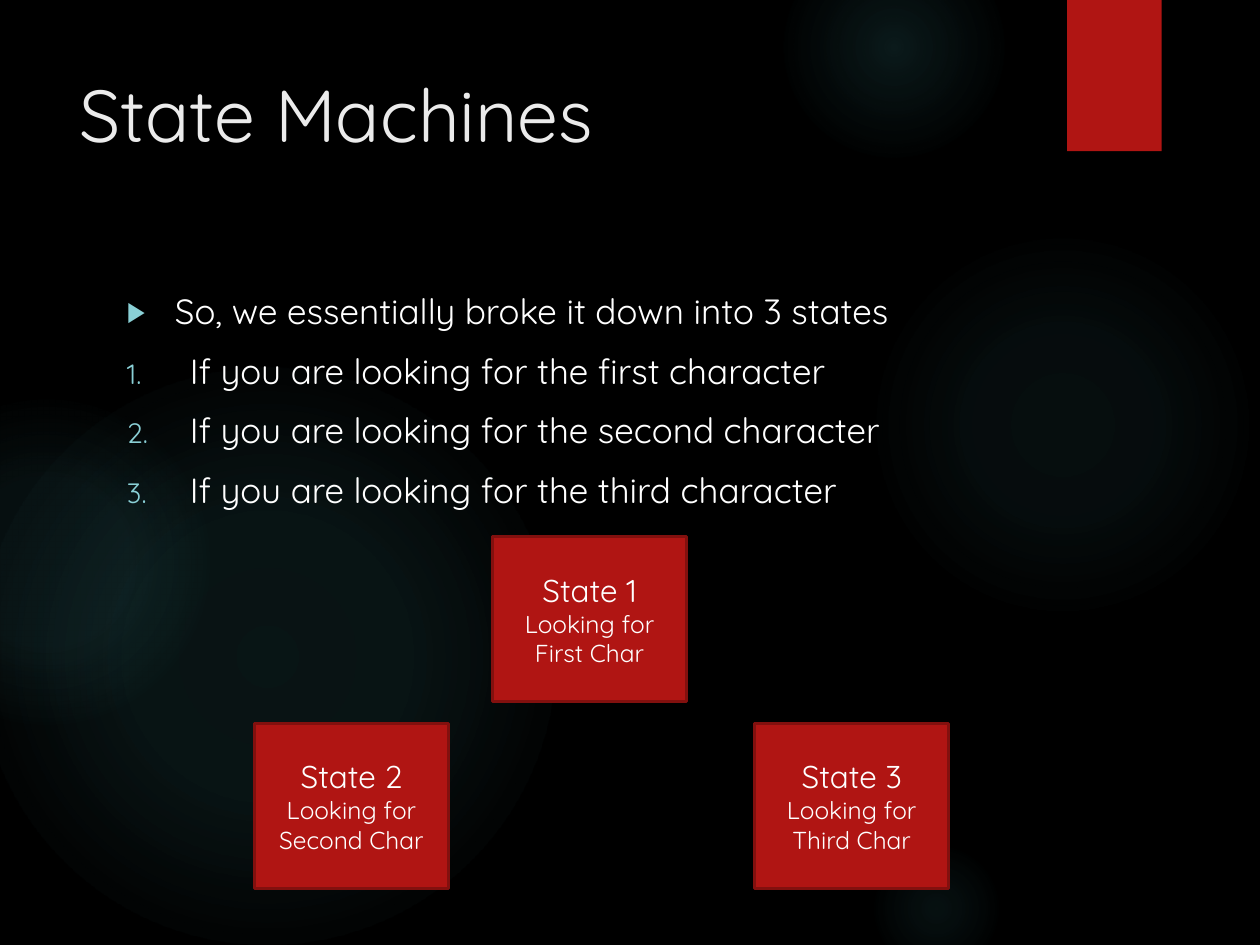
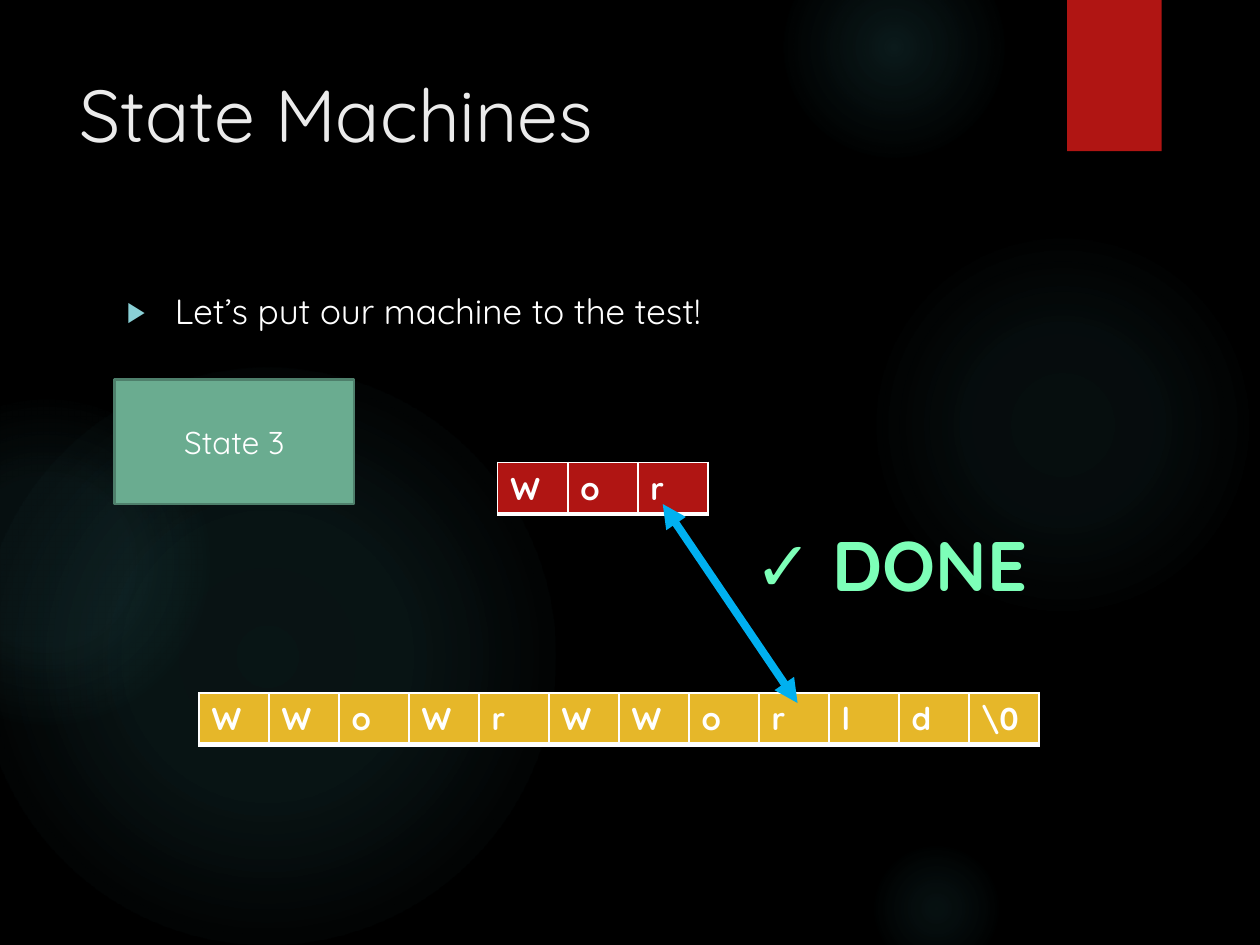
from dataclasses import dataclass

from lxml import etree
from pptx import Presentation
from pptx.dml.color import RGBColor
from pptx.enum.shapes import MSO_CONNECTOR, MSO_SHAPE
from pptx.enum.text import MSO_ANCHOR, MSO_AUTO_SIZE, PP_ALIGN
from pptx.oxml.ns import qn
from pptx.util import Inches, Pt

RECTANGLE, OVAL = MSO_SHAPE.RECTANGLE, MSO_SHAPE.OVAL
STRAIGHT = MSO_CONNECTOR.STRAIGHT
MIDDLE, TOP = MSO_ANCHOR.MIDDLE, MSO_ANCHOR.TOP
CENTER, LEFT = PP_ALIGN.CENTER, PP_ALIGN.LEFT
GROW = MSO_AUTO_SIZE.SHAPE_TO_FIT_TEXT

# The slide is a grid of square cells
COLUMNS, ROWS = 20, 15
CELL = Inches(0.5)


@dataclass(frozen=True)
class Theme:
    font: str = "Quicksand"
    background: str = "000000"
    glow: str = "50B9C1"
    red: str = "B01513"
    red_edge: str = "82100E"
    green: str = "6AAC90"
    green_edge: str = "4E7F6B"
    yellow: str = "E6B729"
    arrow: str = "00B0F0"
    done: str = "7DFFB8"
    title: str = "EBEBEB"
    text: str = "FFFFFF"
    bullet: str = "8AD0D6"
    title_size: int = 42
    done_size: int = 40
    body_size: int = 20
    label_size: int = 18
    detail_size: int = 14
    paragraph_gap: int = 10
    edge_width: float = 1.5
    arrow_width: float = 4.5


THEME = Theme()


@dataclass(frozen=True)
class Box:
    """A region in columns and rows of the grid."""
    left: float
    top: float
    width: float
    height: float

    def inner(self, left, top, width, height):
        return Box(self.left + left, self.top + top, width, height)

    def lengths(self):
        return [round(value * CELL)
                for value in (self.left, self.top, self.width, self.height)]


SLIDE = Box(0, 0, COLUMNS, ROWS)
TITLE = SLIDE.inner(1.06, 1, 15.44, 3.06)
BODY = SLIDE.inner(1.82, 4.5, 14.68, 9.18)
BANNER = SLIDE.inner(16.94, 0, 1.5, 2.4)

# Left, top, diameter; then (position, opacity) stops in percent
GLOWS = [
    (13.78, 3.66, 6.16, [(0, 7), (36, 6), (69, 0)]),
    (12.44, -1, 3.5, [(0, 14), (36, 7), (73, 0)]),
    (13.78, 13.34, 2.16, [(0, 9), (36, 5), (66, 0)]),
    (-0.34, 5.84, 9.16, [(0, 11), (36, 10), (75, 0)]),
    (-1.84, 6.34, 5.16, [(0, 8), (36, 8), (72, 0)]),
]


# Basic parts
def rgb(color):
    return RGBColor.from_string(color)


def add_element(parent, tag, **attributes):
    element = etree.SubElement(parent, qn(tag))
    for name, value in attributes.items():
        element.set(name, str(value))
    return element


def add_color_fill(parent, color):
    add_element(add_element(parent, "a:solidFill"), "a:srgbClr", val=color)


def format_paragraph(paragraph, size, color, bold=False, alignment=LEFT):
    paragraph.alignment = alignment
    for run in paragraph.runs:
        run.font.name = THEME.font
        run.font.size = Pt(size)
        run.font.bold = bold
        run.font.color.rgb = rgb(color)


def add_shape(slide, kind, box, fill=None, edge=None):
    shape = slide.shapes.add_shape(kind, *box.lengths())
    shape.shadow.inherit = False
    if fill:
        shape.fill.solid()
        shape.fill.fore_color.rgb = rgb(fill)
    if edge:
        shape.line.color.rgb = rgb(edge)
        shape.line.width = Pt(THEME.edge_width)
    else:
        shape.line.fill.background()
    return shape


def add_text(slide, box, text, size, color, bold=False):
    frame = slide.shapes.add_textbox(*box.lengths()).text_frame
    frame.word_wrap = True
    frame.vertical_anchor = TOP
    frame.text = text
    for paragraph in frame.paragraphs:
        format_paragraph(paragraph, size, color, bold)
    return frame


# What both slides share
def add_glow(slide, box, stops):
    shape = add_shape(slide, OVAL, box)
    shape.fill.gradient()
    gradient = shape._element.spPr.find(qn("a:gradFill"))
    for child in list(gradient):
        gradient.remove(child)
    stop_list = add_element(gradient, "a:gsLst")
    for position, opacity in stops:
        stop = add_element(stop_list, "a:gs", pos=position * 1000)
        color = add_element(stop, "a:srgbClr", val=THEME.glow)
        add_element(color, "a:alpha", val=opacity * 1000)
    circle = add_element(gradient, "a:path")
    circle.set("path", "circle")
    add_element(circle, "a:fillToRect", l=50000, t=50000, r=50000, b=50000)


def add_base_slide(presentation, title):
    slide = presentation.slides.add_slide(presentation.slide_layouts[6])
    slide.background.fill.solid()
    slide.background.fill.fore_color.rgb = rgb(THEME.background)
    for left, top, diameter, stops in GLOWS:
        add_glow(slide, SLIDE.inner(left, top, diameter, diameter), stops)
    add_shape(slide, RECTANGLE, BANNER, THEME.red)
    add_text(slide, TITLE, title, THEME.title_size, THEME.title)
    return slide


def add_body(slide, box, lead, steps=()):
    """A bulleted lead line followed by numbered steps."""
    frame = add_text(slide, box, "\n".join([lead, *steps]),
                     THEME.body_size, THEME.text)
    for index, paragraph in enumerate(frame.paragraphs):
        paragraph.space_before = Pt(THEME.paragraph_gap)
        indent = Inches(0.5 if index else 0.38)
        properties = paragraph._p.get_or_add_pPr()
        properties.set("marL", str(indent))
        properties.set("indent", str(-indent))
        color = add_element(properties, "a:buClr")
        add_element(color, "a:srgbClr", val=THEME.bullet)
        add_element(properties, "a:buSzPct", val=80000)
        add_element(properties, "a:buFont", typeface=THEME.font)
        if index:
            add_element(properties, "a:buAutoNum", type="arabicPeriod")
        else:
            add_element(properties, "a:buChar", char="▶")


def add_state(slide, box, name, detail=None, fill=THEME.red, edge=THEME.red_edge):
    frame = add_shape(slide, RECTANGLE, box, fill, edge).text_frame
    frame.word_wrap = True
    frame.vertical_anchor = MIDDLE
    frame.text = f"{name}\n{detail}" if detail else name
    for paragraph, size in zip(frame.paragraphs, (THEME.label_size, THEME.detail_size)):
        format_paragraph(paragraph, size, THEME.text, alignment=CENTER)


# The three states
def add_state_diagram(slide, box):
    width, height = 3.08, 2.62
    lower_row = box.height - height
    states = [(3.78, 0, "First"),
              (0, lower_row, "Second"),
              (box.width - width, lower_row, "Third")]
    for number, (left, top, ordinal) in enumerate(states, start=1):
        add_state(slide, box.inner(left, top, width, height),
                  f"State {number}", f"Looking for {ordinal} Char")


# The test run
def set_cell_borders(cell):
    properties = cell._tc.get_or_add_tcPr()
    widths = {"a:lnL": 1, "a:lnR": 1, "a:lnT": 1, "a:lnB": 3}
    for index, (tag, width) in enumerate(widths.items()):
        border = add_element(properties, tag, w=Pt(width))
        add_color_fill(border, THEME.text)
        properties.insert(index, border)


def add_character_table(slide, box, characters, fill):
    frame = slide.shapes.add_table(1, len(characters), *box.lengths())
    table = frame.table
    table.first_row = table.horz_banding = False
    for column, character in enumerate(characters):
        table.columns[column].width = round(box.width * CELL / len(characters))
        cell = table.cell(0, column)
        cell.fill.solid()
        cell.fill.fore_color.rgb = rgb(fill)
        cell.text_frame.text = character
        format_paragraph(cell.text_frame.paragraphs[0], THEME.label_size,
                         THEME.text, bold=True)
        set_cell_borders(cell)


def add_match_arrow(slide, box):
    """A two-headed arrow from the box's top left to its bottom right."""
    left, top, width, height = box.lengths()
    connector = slide.shapes.add_connector(
        STRAIGHT, left, top, left + width, top + height)
    connector.line.color.rgb = rgb(THEME.arrow)
    connector.line.width = Pt(THEME.arrow_width)
    line = connector.line._get_or_add_ln()
    for end in ("a:headEnd", "a:tailEnd"):
        add_element(line, end, type="triangle")
    add_element(connector._element.spPr, "a:effectLst")


def add_test_run(slide, box):
    add_character_table(slide, box.inner(1.34, 4.98, 13.34, 0.82),
                        [*"WWoWrWWorld", "\\0"], THEME.yellow)
    add_character_table(slide, box.inner(6.08, 1.32, 3.34, 0.82), "Wor", THEME.red)
    add_state(slide, box.inner(0, 0, 3.8, 1.98), "State 3",
              fill=THEME.green, edge=THEME.green_edge)
    add_match_arrow(slide, box.inner(8.7, 1.98, 2.14, 3.16))
    done = add_text(slide, box.inner(9.96, 2.16, 10.7, 1.54), "✓ DONE",
                    THEME.done_size, THEME.done, bold=True)
    done.auto_size = GROW


# Slides
def build_states_slide(presentation):
    slide = add_base_slide(presentation, "State Machines")
    steps = [f"If you are looking for the {ordinal} character"
             for ordinal in ("first", "second", "third")]
    add_body(slide, BODY, "So, we essentially broke it down into 3 states", steps)
    add_state_diagram(slide, SLIDE.inner(4.04, 8.52, 11.02, 5.58))


def build_test_slide(presentation):
    slide = add_base_slide(presentation, "State Machines")
    add_body(slide, BODY, "Let’s put our machine to the test!")
    add_test_run(slide, BODY.inner(0, 1.52, BODY.width, 5.8))


def main():
    presentation = Presentation()
    presentation.slide_width = COLUMNS * CELL
    presentation.slide_height = ROWS * CELL
    build_states_slide(presentation)
    build_test_slide(presentation)
    presentation.save("out.pptx")


if __name__ == "__main__":
    main()
